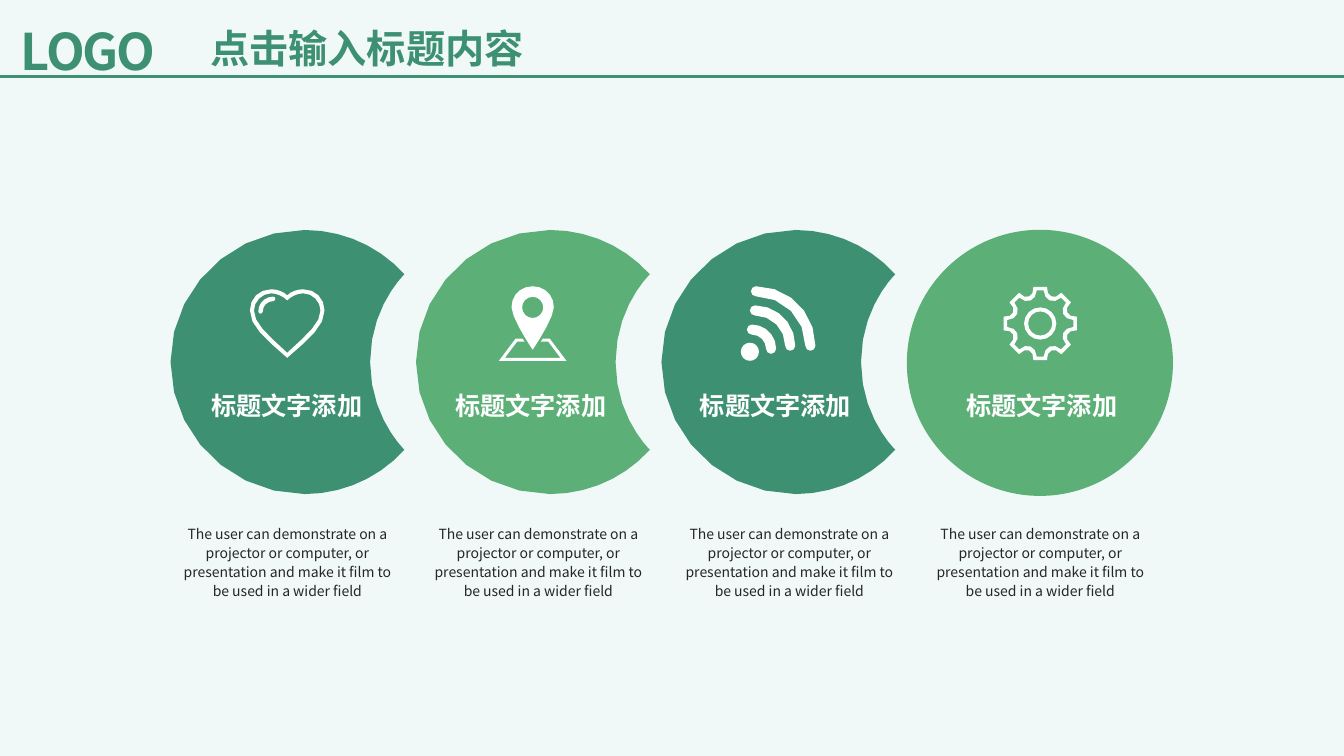
from dataclasses import dataclass
from math import cos, radians, sin

from lxml.etree import SubElement
from pptx import Presentation
from pptx.dml.color import RGBColor
from pptx.enum.shapes import MSO_CONNECTOR, MSO_SHAPE
from pptx.enum.text import MSO_ANCHOR, MSO_AUTO_SIZE, PP_ALIGN
from pptx.oxml.ns import qn
from pptx.slide import Slide
from pptx.util import Pt

Point = tuple[float, float]
Ring = list[Point]

LEFT, CENTER = PP_ALIGN.LEFT, PP_ALIGN.CENTER
TOP = MSO_ANCHOR.TOP
FIXED = MSO_AUTO_SIZE.NONE
OVAL = MSO_SHAPE.OVAL
STRAIGHT = MSO_CONNECTOR.STRAIGHT

PALE = RGBColor(0xF0, 0xF9, 0xF7)
TEAL = RGBColor(0x3D, 0x90, 0x72)
GREEN = RGBColor(0x5C, 0xAF, 0x77)
WHITE = RGBColor(0xFF, 0xFF, 0xFF)
INK = RGBColor(0x26, 0x26, 0x26)

FACE = "Noto Sans CJK SC"
CELL = 76200
COLS, ROWS = 160, 90
DOT = 0.12
MOON_X, MOON_STEP, MOON_Y = 20.3, 29.22, 43.1
DISC_TOP, DISC_SIZE = 27.36, 31.68
ICON_Y = 38.52
NOTE_X, NOTE_STEP = 20.28, 29.88
LABEL = "标题文字添加"
NOTE = ("The user can demonstrate on a projector or computer, or "
        "presentation and make it film to be used in a wider field")


@dataclass(frozen=True)
class Box:
    x: float
    y: float
    w: float
    h: float


@dataclass(frozen=True)
class Style:
    size: float
    color: RGBColor
    bold: bool = False
    align: PP_ALIGN = CENTER
    lead: float = 1.0


@dataclass(frozen=True)
class Step:
    fill: RGBColor
    icon: list[Ring]
    icon_x: float
    label_x: float


def grid(cells: float) -> int:
    return round(cells * CELL)


def polar(hub: Point, radius: float, angle: float) -> Point:
    turn = radians(angle)
    return hub[0] + radius * cos(turn), hub[1] + radius * sin(turn)


def arc(hub: Point, radius: float, start: float, end: float, parts: int) -> Ring:
    return [polar(hub, radius, start + (end - start) * i / parts)
            for i in range(parts + 1)]


def circle(hub: Point, radius: float) -> Ring:
    return arc(hub, radius, 0, 337.5, 15)


def curve(parts: int, *knots: Point) -> Ring:
    ring = [knots[0]]
    for k in range(0, len(knots) - 1, 3):
        a, b, c, d = knots[k:k + 4]
        for i in range(1, parts + 1):
            t = i / parts
            u = 1 - t
            mix = (u ** 3, 3 * u * u * t, 3 * u * t * t, t ** 3)
            ring.append((sum(m * p[0] for m, p in zip(mix, (a, b, c, d))),
                         sum(m * p[1] for m, p in zip(mix, (a, b, c, d)))))
    return ring


def mirror(half: Ring) -> Ring:
    return half + [(-x, y) for x, y in reversed(half[1:-1])]


def band(hub: Point, radius: float, thick: float, start: float, end: float) -> Ring:
    return (arc(hub, radius + thick, start, end, 5)
            + arc(polar(hub, radius, end), thick, end, end + 180, 4)[1:]
            + arc(hub, radius - thick, end, start, 4)[1:]
            + arc(polar(hub, radius, start), thick, start + 180, start + 360, 4)[1:-1])


def cog(rim: float, root: float, edge: float, slant: float) -> Ring:
    ring: Ring = []
    for tooth in range(0, 360, 45):
        ring += curve(4, *(polar((0, 0), r, tooth + a) for r, a in (
            (rim, edge), (root, edge + slant),
            (root, 45 - edge - slant), (rim, 45 - edge))))
    return ring


HEART = [
    mirror(curve(4, (0, -28), (4, -32), (10, -34), (16, -34), (28, -34), (37, -25),
                 (37, -13), (37, 2), (23, 14), (0, 34))),
    mirror(curve(4, (0, -23), (4, -27), (10, -30), (16, -30), (25, -30), (33, -22),
                 (33, -13), (33, -1), (22, 9), (0, 29))),
    band((-14, -12), 12.5, 2.2, 180, 270),
]
PIN = [
    mirror([(0, 34), (27.5, 34), (15.5, 18), (8, 18), (10, 15), (17, 15),
            (33.5, 37), (0, 37)]),
    circle((0, -16), 10.5),
    mirror(curve(5, (0, -37), (12, -37), (21, -28), (21, -16), (21, -5), (0, 26), (0, 26))),
]
WAVES = [circle((-28, 28), 9)] + [
    band(hub, radius, 5, 270, 360)
    for hub, radius in (((-26, 25), 19), ((-23, 22), 35), ((-22, 22), 54))]
GEAR = [circle((0, 0), 16), circle((0, 0), 12),
        cog(37, 27, 10.5, 2), cog(33, 23, 6, 4)]

CREST = curve(7, (0, 0), (0, -8.64), (7.2, -15.72), (15.96, -15.72), (20.64, -15.72),
              (24.96, -13.68), (27.84, -10.44), (27.84, -10.44), (23.76, -6.6), (23.76, 0))
MOON = CREST + [(x, -y) for x, y in reversed(CREST[1:-1])]

STEPS = [
    Step(TEAL, HEART, 34.2, 20.16),
    Step(GREEN, PIN, 63.42, 49.2),
    Step(TEAL, WAVES, 92.64, 78.36),
    Step(GREEN, GEAR, 123.84, 110.04),
]


def paint(shape, fill: RGBColor) -> None:
    shape.shadow.inherit = False
    shape.fill.solid()
    shape.fill.fore_color.rgb = fill
    shape.line.fill.background()


def trace(slide: Slide, rings: list[Ring], hub: Point, unit: float,
          fill: RGBColor) -> None:
    placed = [[(grid(hub[0] + x * unit), grid(hub[1] + y * unit)) for x, y in ring]
              for ring in rings]
    pen = slide.shapes.build_freeform(*placed[0][0])
    for i, ring in enumerate(placed):
        if i:
            pen.move_to(*ring[0])
        pen.add_line_segments(ring[1:], close=True)
    paint(pen.convert_to_shape(), fill)


def write(shape, box: Box, text: str, style: Style):
    shape.left, shape.top = grid(box.x), grid(box.y)
    shape.width, shape.height = grid(box.w), grid(box.h)
    frame = shape.text_frame
    frame.word_wrap = True
    frame.auto_size = FIXED
    frame.vertical_anchor = TOP
    frame.text = text
    para = frame.paragraphs[0]
    para.alignment = style.align
    para.line_spacing = style.lead
    font = para.font
    font.name, font.size, font.bold = FACE, Pt(style.size), style.bold
    font.color.rgb = style.color
    props = para._p.pPr.find(qn("a:defRPr"))
    SubElement(props, qn("a:ea")).set("typeface", FACE)
    return props


def add_text(slide: Slide, box: Box, text: str, style: Style):
    return write(slide.shapes.add_textbox(0, 0, 0, 0), box, text, style)


def add_head(slide: Slide) -> None:
    write(slide.shapes.title, Box(22.08, 2.28, 43.2, 6.84), "点击输入标题内容",
          Style(28, TEAL, True))
    add_text(slide, Box(1.32, 1.8, 22.8, 8.4), "LOGO",
             Style(36, TEAL, True, LEFT)).set("spc", "-150")
    rule = slide.shapes.add_connector(STRAIGHT, 0, grid(9.12), grid(COLS), grid(9.12))
    rule.line.color.rgb = TEAL
    rule.line.width = Pt(2)
    SubElement(rule._element.spPr, qn("a:effectLst"))


def add_step(slide: Slide, i: int, step: Step) -> None:
    x = MOON_X + MOON_STEP * i
    if i < len(STEPS) - 1:
        trace(slide, [MOON], (x, MOON_Y), 1, step.fill)
    else:
        paint(slide.shapes.add_shape(OVAL, grid(x), grid(DISC_TOP), grid(DISC_SIZE),
                                     grid(DISC_SIZE)), step.fill)
    trace(slide, step.icon, (step.icon_x, ICON_Y), DOT, WHITE)
    add_text(slide, Box(NOTE_X + NOTE_STEP * i, 61.68, 27.84, 10.44), NOTE,
             Style(10, INK, lead=1.14))
    add_text(slide, Box(step.label_x, 45.84, 27.96, 4.8), LABEL, Style(18, WHITE, True))


def main() -> None:
    deck = Presentation()
    deck.slide_width, deck.slide_height = grid(COLS), grid(ROWS)
    slide = deck.slides.add_slide(deck.slide_layouts[5])
    slide.background.fill.solid()
    slide.background.fill.fore_color.rgb = PALE
    add_head(slide)
    for i, step in enumerate(STEPS):
        add_step(slide, i, step)
    deck.save("out.pptx")


if __name__ == "__main__":
    main()
